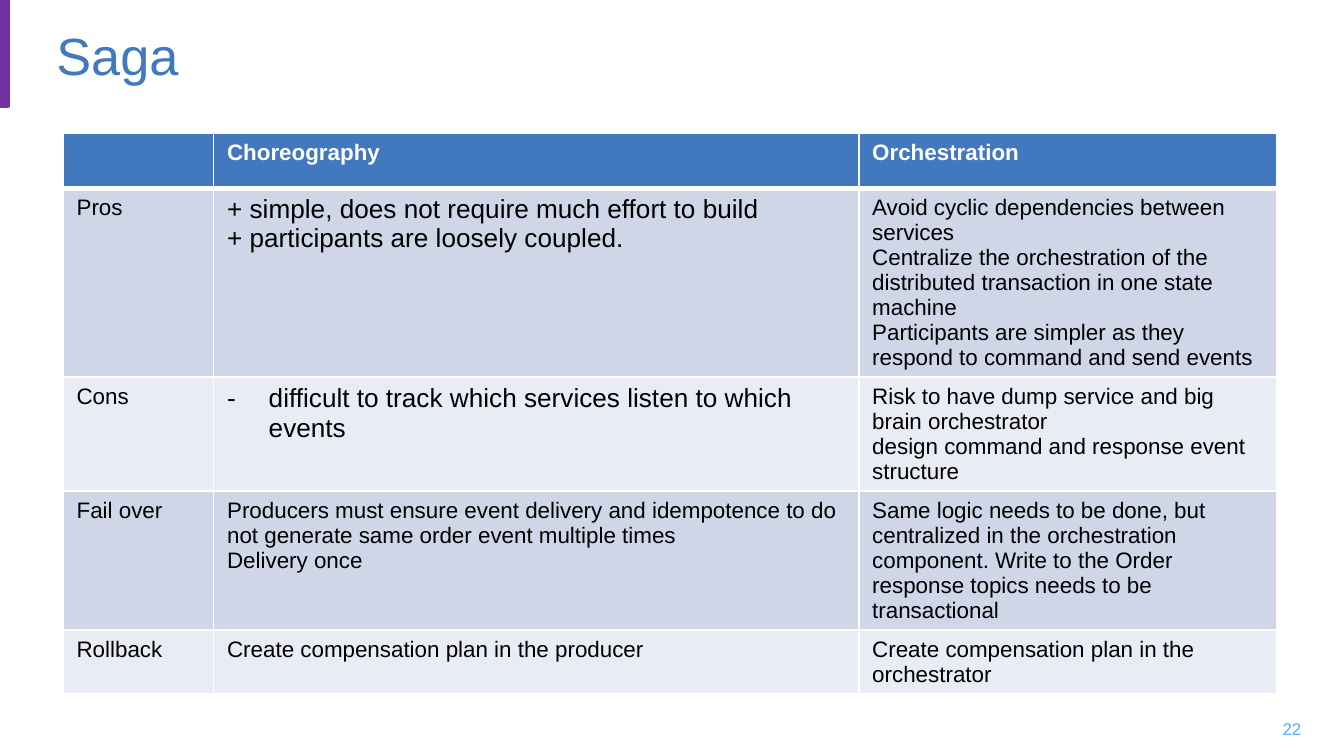
"""Build the slide comparing saga choreography with orchestration."""
from lxml import etree
from pptx import Presentation
from pptx.dml.color import RGBColor
from pptx.enum import shapes, text
from pptx.oxml import ns
from pptx.util import Inches, Pt

FONT = "Arial"
BLUE = RGBColor(0x41, 0x78, 0xBE)
LIGHT_BLUE = RGBColor(0x5A, 0xAA, 0xFA)
PURPLE = RGBColor(0x70, 0x30, 0xA0)
WHITE = RGBColor(0xFF, 0xFF, 0xFF)
BLACK = RGBColor(0x00, 0x00, 0x00)
BANDS = (RGBColor(0xCF, 0xD6, 0xE8), RGBColor(0xE9, 0xEC, 0xF4))

COLUMN_WIDTHS = (1.12, 4.8, 3.11)
ROW_HEIGHT = 0.41
HEADERS = ([], ["Choreography"], ["Orchestration"])
ROWS = (
    (
        ["Pros"],
        [
            "+ simple, does not require much effort to build",
            "+ participants are loosely coupled.",
        ],
        [
            "Avoid cyclic dependencies between services",
            "Centralize the orchestration of the distributed transaction in one state machine",
            "Participants are simpler as they respond to command and send events",
        ],
    ),
    (
        ["Cons"],
        ["difficult to track which services listen to which events"],
        [
            "Risk to have dump service and big brain orchestrator",
            "design command and response event structure",
        ],
    ),
    (
        ["Fail over"],
        [
            "Producers must ensure event delivery and idempotence to do not generate "
            "same order event multiple times",
            "Delivery once",
        ],
        [
            "Same logic needs to be done, but centralized in the orchestration component. "
            "Write to the Order response topics needs to be transactional",
        ],
    ),
    (
        ["Rollback"],
        ["Create compensation plan in the producer"],
        ["Create compensation plan in the orchestrator"],
    ),
)
LARGE_CELLS = {(1, 1), (2, 1)}
DASHED_CELLS = {(2, 1)}


def add_dash(paragraph):
    """Give a paragraph a dash bullet with a hanging indent."""
    properties = paragraph._p.get_or_add_pPr()
    properties.set("marL", str(Inches(0.31)))
    properties.set("indent", str(-Inches(0.31)))
    etree.SubElement(properties, ns.qn("a:buFont"), typeface=FONT)
    etree.SubElement(properties, ns.qn("a:buChar"), char="-")


def write(frame, lines, size=12, color=BLACK, bold=False,
          align=text.PP_ALIGN.LEFT, dashed=False):
    """Write lines as formatted paragraphs into a text frame."""
    for index, line in enumerate(lines):
        paragraph = frame.add_paragraph() if index else frame.paragraphs[0]
        paragraph.alignment = align
        if dashed:
            add_dash(paragraph)
        run = paragraph.add_run()
        run.text = line
        run.font.name = FONT
        run.font.size = Pt(size)
        run.font.bold = bold
        run.font.color.rgb = color


def set_borders(cell, bottom=1):
    """Draw white borders around a cell."""
    properties = cell._tc.get_or_add_tcPr()
    for side, width in (("L", 1), ("R", 1), ("T", 1), ("B", bottom)):
        line = etree.SubElement(properties, ns.qn(f"a:ln{side}"), w=str(Pt(width)))
        fill = etree.SubElement(line, ns.qn("a:solidFill"))
        etree.SubElement(fill, ns.qn("a:srgbClr"), val=str(WHITE))


def add_accent(slide):
    """Add the purple bar in the top left corner."""
    bar = slide.shapes.add_shape(
        shapes.MSO_SHAPE.RECTANGLE, 0, 0, Inches(0.06), Inches(0.79))
    bar.shadow.inherit = False
    bar.fill.solid()
    bar.fill.fore_color.rgb = PURPLE
    bar.line.color.rgb = PURPLE
    bar.line.width = Pt(2)


def add_title(slide, title):
    """Place and format the title placeholder."""
    shape = slide.shapes.title
    shape.left, shape.top = Inches(0.32), Inches(0.05)
    shape.width, shape.height = Inches(9.18), Inches(0.72)
    shape.text_frame.vertical_anchor = text.MSO_ANCHOR.MIDDLE
    write(shape.text_frame, [title], size=28, color=BLUE)


def add_comparison(slide):
    """Add the table of choreography against orchestration."""
    rows = (HEADERS, *ROWS)
    frame = slide.shapes.add_table(
        len(rows), len(COLUMN_WIDTHS), Inches(0.47), Inches(0.99),
        Inches(sum(COLUMN_WIDTHS)), Inches(ROW_HEIGHT * len(rows)))
    table = frame.table
    table.first_row = table.horz_banding = False
    for column, width in zip(table.columns, COLUMN_WIDTHS):
        column.width = Inches(width)
    for row, contents in enumerate(rows):
        table.rows[row].height = Inches(ROW_HEIGHT)
        header = row == 0
        for column, lines in enumerate(contents):
            cell = table.cell(row, column)
            set_borders(cell, bottom=3 if header else 1)
            cell.fill.solid()
            cell.fill.fore_color.rgb = BLUE if header else BANDS[(row - 1) % 2]
            write(cell.text_frame, lines,
                  size=14 if (row, column) in LARGE_CELLS else 12,
                  color=WHITE if header else BLACK, bold=header,
                  dashed=(row, column) in DASHED_CELLS)
    frame.height = Inches(4.41)


def add_page_number(slide, number):
    """Add the page number in the bottom right corner."""
    box = slide.shapes.add_textbox(
        Inches(9.34), Inches(5.27), Inches(0.44), Inches(0.3))
    box.text_frame.word_wrap = True
    box.text_frame.vertical_anchor = text.MSO_ANCHOR.MIDDLE
    write(box.text_frame, [number], size=9, color=LIGHT_BLUE,
          align=text.PP_ALIGN.RIGHT)


def main():
    """Build and save the presentation."""
    presentation = Presentation()
    presentation.slide_width = Inches(10)
    presentation.slide_height = Inches(10) * 9 // 16
    slide = presentation.slides.add_slide(presentation.slide_layouts[5])
    add_accent(slide)
    add_title(slide, "Saga")
    add_comparison(slide)
    add_page_number(slide, "22")
    presentation.save("out.pptx")


if __name__ == "__main__":
    main()
